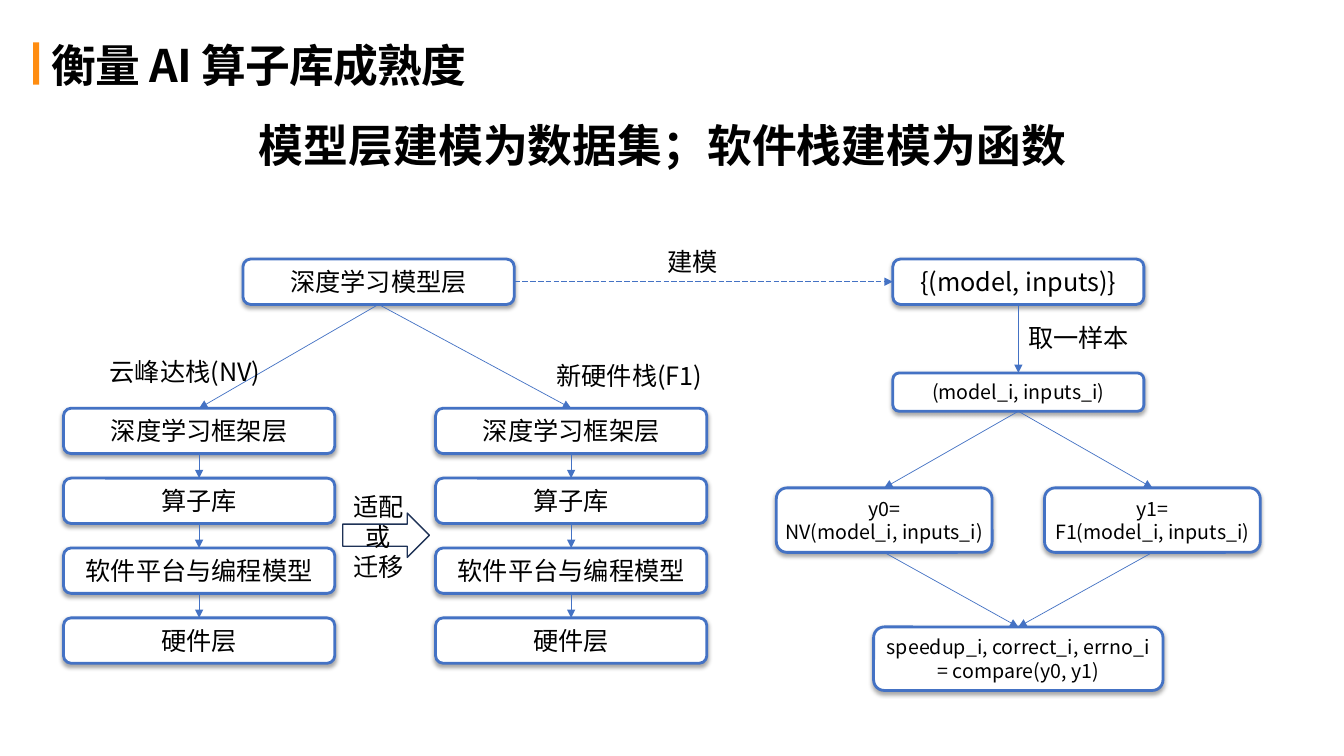
import pptx
import pptx.util
import pptx.dml.color
import pptx.enum.dml
import pptx.enum.shapes
import pptx.enum.text
import pptx.oxml
import pptx.oxml.ns
from lxml import etree

Inches = pptx.util.Inches
Pt = pptx.util.Pt
qn = pptx.oxml.ns.qn
SHAPE = pptx.enum.shapes.MSO_SHAPE
ALIGN = pptx.enum.text.PP_ALIGN
ANCHOR = pptx.enum.text.MSO_ANCHOR
FONT = "Noto Sans CJK SC"
COLORS = {"text": "000000", "white": "FFFFFF", "blue": "4472C4",
          "navy": "1E3256", "orange": "FF8D11"}
TOP, LEFT, BOTTOM, RIGHT = range(4)
STACK_LAYERS = ["深度学习框架层", "算子库", "软件平台与编程模型", "硬件层"]
SHADOW = (
    '<a:effectLst xmlns:a="http://schemas.openxmlformats.org/drawingml/2006/main">'
    '<a:outerShdw blurRad="38100" dist="22860" dir="5400000" rotWithShape="0">'
    '<a:srgbClr val="000000"><a:alpha val="35000"/></a:srgbClr>'
    '</a:outerShdw></a:effectLst>')


def rgb(name):
    return pptx.dml.color.RGBColor.from_string(COLORS[name])


def write(tf, text, size, align, bold=False):
    tf.text = text
    for p in tf.paragraphs:
        p.alignment = align
        for r in p.runs:
            r.font.size = Pt(size)
            r.font.bold = bold
            r.font.color.rgb = rgb("text")
            r.font.name = FONT
            etree.SubElement(r.font._element, qn("a:ea"), typeface=FONT)


def add_filled(slide, kind, x, y, w, h, fill, line=None, width=1):
    sp = slide.shapes.add_shape(kind, Inches(x), Inches(y), Inches(w), Inches(h))
    sp.shadow.inherit = False
    sp.fill.solid()
    sp.fill.fore_color.rgb = rgb(fill)
    if line:
        sp.line.color.rgb = rgb(line)
        sp.line.width = Pt(width)
    else:
        sp.line.fill.background()
    return sp


def add_node(slide, text, x, y, w, h, size=18):
    """Rounded, shadowed box with centred text."""
    sp = add_filled(slide, SHAPE.ROUNDED_RECTANGLE, x, y, w, h, "white", "blue", 2)
    effects = sp._element.spPr.find(qn("a:effectLst"))
    effects.getparent().replace(effects, pptx.oxml.parse_xml(SHADOW))
    tf = sp.text_frame
    tf.word_wrap = True
    tf.vertical_anchor = ANCHOR.MIDDLE
    tf.margin_left = tf.margin_right = tf.margin_top = tf.margin_bottom = Inches(0.05)
    write(tf, text, size, ALIGN.CENTER)
    return sp


def add_label(slide, text, x, y, w, h=0.4, size=18, align=ALIGN.LEFT, bold=False):
    box = slide.shapes.add_textbox(Inches(x), Inches(y), Inches(w), Inches(h))
    tf = box.text_frame
    tf.word_wrap = False
    tf.auto_size = pptx.enum.text.MSO_AUTO_SIZE.SHAPE_TO_FIT_TEXT
    write(tf, text, size, align, bold)


def link(slide, start, end, start_side=BOTTOM, end_side=TOP, dashed=False):
    """Arrow joining the middles of two box sides."""
    cxn = slide.shapes.add_connector(pptx.enum.shapes.MSO_CONNECTOR.STRAIGHT, 0, 0, 0, 0)
    cxn.begin_connect(start, start_side)
    cxn.end_connect(end, end_side)
    cxn.line.color.rgb = rgb("blue")
    cxn.line.width = Pt(0.5)
    if dashed:
        cxn.line.dash_style = pptx.enum.dml.MSO_LINE.LONG_DASH
    etree.SubElement(cxn.line._get_or_add_ln(), qn("a:tailEnd"), type="triangle")
    etree.SubElement(cxn._element.spPr, qn("a:effectLst"))


def add_heading(slide, x, y, w, h):
    add_filled(slide, SHAPE.RECTANGLE, x, y + 0.06, 0.06, 0.42, "orange")
    title = slide.shapes.title
    title.left, title.top = Inches(x + 0.18), Inches(y)
    title.width, title.height = Inches(w - 0.18), Inches(h)
    tf = title.text_frame
    tf.margin_left = tf.margin_right = tf.margin_bottom = 0
    tf.margin_top = Inches(0.01)
    tf.vertical_anchor = ANCHOR.MIDDLE
    write(tf, "衡量 AI 算子库成熟度", 32, ALIGN.LEFT, bold=True)
    tf.paragraphs[0].runs[0].font._element.set("spc", "-60")


def add_stack(slide, x, y, w, h):
    """Column of layers joined downwards; returns the top one."""
    node_h = 0.45
    step = (h - node_h) / (len(STACK_LAYERS) - 1)
    nodes = [add_node(slide, layer, x, y + i * step, w, node_h)
             for i, layer in enumerate(STACK_LAYERS)]
    for upper, lower in zip(nodes, nodes[1:]):
        link(slide, upper, lower)
    return nodes[0]


def add_software_side(slide, x, y, w, h):
    """Model layer above two hardware stacks; returns the model layer."""
    node_w, stack_y = 2.69, y + 1.48
    model = add_node(slide, "深度学习模型层", x + 1.78, y, node_w, 0.45)
    for stack_x in (x, x + w - node_w):
        link(slide, model, add_stack(slide, stack_x, stack_y, node_w, h - 1.48))
    add_label(slide, "云峰达栈(NV)", x + 0.36, y + 0.92, 1.76)
    add_label(slide, "新硬件栈(F1)", x + 4.79, y + 0.96, 1.71)
    add_filled(slide, SHAPE.RIGHT_ARROW, x + 2.77, y + 2.52, 0.86, 0.44, "white", "navy")
    add_label(slide, "适配\n或\n迁移", x + 2.77, y + 2.25, 0.71, 1.01, align=ALIGN.CENTER)
    return model


def add_function_side(slide, x, y, w, h):
    """Data set, sample, two runs and their comparison; returns the data set."""
    mid, run_w = x + w / 2, 2.14
    dataset = add_node(slide, "{(model, inputs)}", mid - 1.245, y, 2.49, 0.45)
    sample = add_node(slide, "(model_i, inputs_i)", mid - 1.245, y + 1.13, 2.49, 0.38, 14)
    compare = add_node(slide, "speedup_i, correct_i, errno_i = compare(y0, y1)",
                       mid - 1.435, y + h - 0.63, 2.87, 0.63, 14)
    link(slide, dataset, sample)
    add_label(slide, "取一样本", mid, y + 0.58, 1.21)
    runs = [("y0=\nNV(model_i, inputs_i)", x),
            ("y1=\nF1(model_i, inputs_i)", x + w - run_w)]
    for text, run_x in runs:
        run = add_node(slide, text, run_x, y + 2.27, run_w, 0.64, 14)
        link(slide, sample, run)
        link(slide, run, compare)
    return dataset


def main():
    prs = pptx.Presentation()
    prs.slide_width, prs.slide_height = Inches(13.33), Inches(7.5)
    slide = prs.slides.add_slide(prs.slide_layouts[5])
    add_heading(slide, 0.33, 0.36, 11.54, 0.55)
    add_label(slide, "模型层建模为数据集；软件栈建模为函数", 2.47, 1.12, 8.28, 0.64, 32, bold=True)
    model = add_software_side(slide, 0.63, 2.57, 6.38, 4.01)
    dataset = add_function_side(slide, 7.7, 2.57, 4.8, 4.28)
    link(slide, model, dataset, RIGHT, LEFT, dashed=True)
    add_label(slide, "建模", 6.52, 2.39, 0.71)
    prs.save("out.pptx")


if __name__ == "__main__":
    main()
